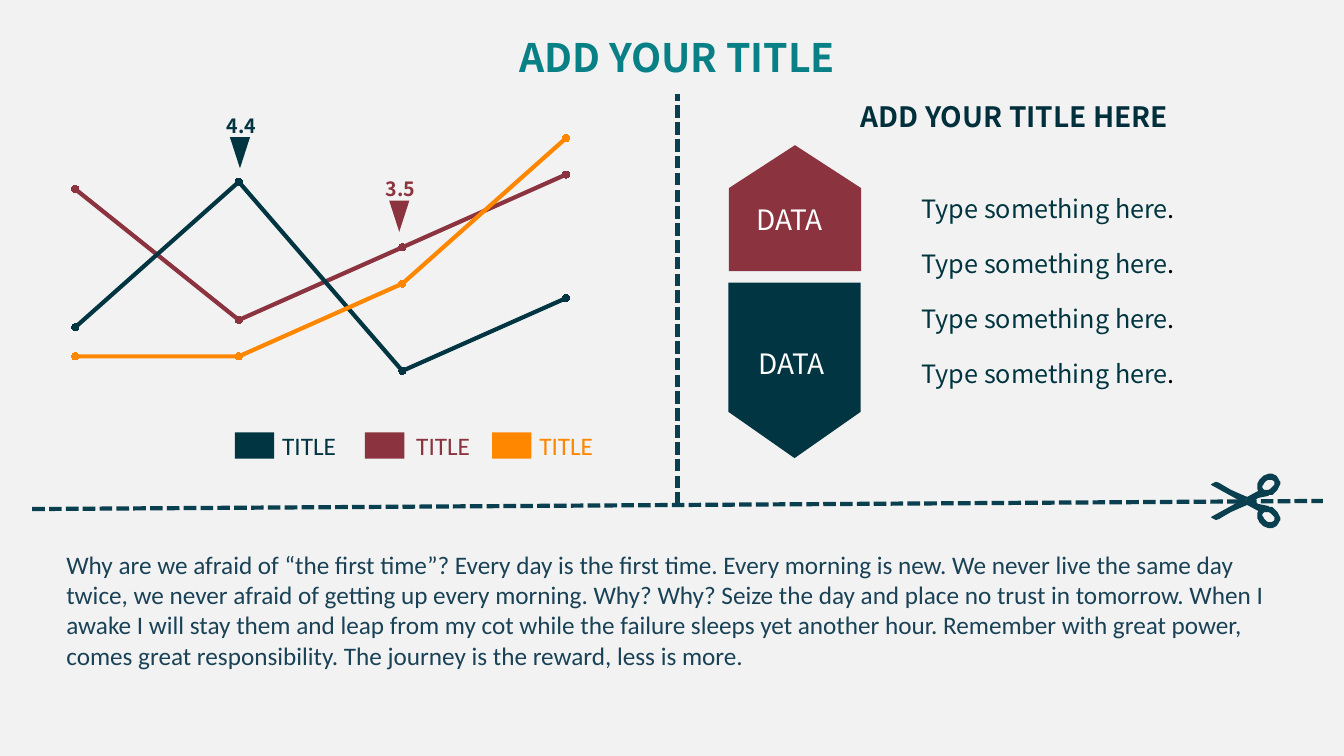
from dataclasses import dataclass

from lxml import etree
from pptx import Presentation
from pptx.chart.data import CategoryChartData
from pptx.dml.color import RGBColor
from pptx.enum.chart import XL_CHART_TYPE as ChartType, XL_MARKER_STYLE as Marker
from pptx.enum.dml import MSO_LINE
from pptx.enum.shapes import MSO_CONNECTOR, MSO_SHAPE as Shape
from pptx.enum.text import MSO_ANCHOR, MSO_AUTO_SIZE, PP_ALIGN
from pptx.oxml.ns import qn
from pptx.util import Inches, Pt


@dataclass(frozen=True)
class Theme:
    paper: str = "F2F2F2"
    teal: str = "088085"
    navy: str = "003541"
    wine: str = "8B343F"
    orange: str = "FF8700"
    cut: str = "093F4F"
    prose: str = "194256"
    heading: str = "01303C"
    item: str = "003540"
    white: str = "FFFFFF"
    black: str = "000000"
    sans: str = "Calibri"
    display: str = "Noto Sans CJK SC"
    title_size: int = 28
    heading_size: int = 20
    body_size: int = 18
    callout_size: int = 14
    chart_size: int = 10
    line: int = 3


THEME = Theme()
SERIES = [
    ("Series 1", (86, 50, 70, 90), THEME.wine),
    ("Series 2", (48, 88, 36, 56), THEME.navy),
    ("Series 3", (40, 40, 60, 100), THEME.orange),
]
PROSE = (
    "Why are we afraid of “the first time”? Every day is the first time. "
    "Every morning is new. We never live the same day twice, we never afraid of "
    "getting up every morning. Why? Why? Seize the day and place no trust in "
    "tomorrow. When I awake I will stay them and leap from my cot while the failure "
    "sleeps yet another hour. Remember with great power, comes great responsibility. "
    "The journey is the reward, less is more."
)
# Upper half of the scissors in hundredths of an inch, around the cut line:
# a start point, then curves (six numbers) and straight lines (two numbers)
BLADE = [
    (42, 0), (44, -2, 49, -4, 57, -5), (59, -6, 61, -6, 62, -7),
    (66, -9, 67, -12, 68, -15), (69, -17, 69, -20, 67, -22),
    (65, -27, 58, -28, 52, -25), (49, -23, 47, -20, 46, -17),
    (46, -15, 46, -12, 47, -10), (36, -4), (28, -7, 11, -16, 8, -18),
    (5, -20, 0, -16, 0, -16), (29, 0),
]
FINGER_HOLE = [
    (63, -19), (64, -18, 63, -17, 63, -16), (62, -15, 61, -13, 59, -12),
    (56, -10, 53, -10, 52, -12), (51, -14, 51, -15, 51, -15),
    (52, -17, 53, -19, 55, -20), (58, -22, 62, -21, 63, -19),
]
PIVOT = [(36, 0), (34.5, -2), (33, 0), (34.5, 2)]


def rgb(color):
    return RGBColor.from_string(color)


def inches(*lengths):
    return [Inches(length) for length in lengths]


def style(font, size, color, name=THEME.display, bold=False):
    font.size, font.name, font.bold = Pt(size), name, bold
    font.color.rgb = rgb(color)


def add_text(slide, box, text, size, color, name=THEME.display, bold=False, wrap=False):
    frame = slide.shapes.add_textbox(*inches(*box)).text_frame
    frame.text = text
    frame.word_wrap = wrap
    style(frame.paragraphs[0].runs[0].font, size, color, name, bold)


def paint(shape, color):
    shape.shadow.inherit = False
    shape.fill.solid()
    shape.fill.fore_color.rgb = rgb(color)
    shape.line.fill.background()


def add_block(slide, kind, box, color, rotation=0):
    block = slide.shapes.add_shape(kind, *inches(*box))
    block.rotation = rotation
    paint(block, color)
    return block


def place(placeholder, box):
    placeholder.left, placeholder.top, placeholder.width, placeholder.height = inches(*box)
    frame = placeholder.text_frame
    frame.vertical_anchor = MSO_ANCHOR.TOP
    frame.auto_size = MSO_AUTO_SIZE.NONE
    return frame


def add_title(slide, box):
    frame = place(slide.shapes.title, box)
    frame.text = "ADD YOUR TITLE"
    frame.word_wrap = False
    frame.paragraphs[0].alignment = PP_ALIGN.LEFT
    style(frame.paragraphs[0].runs[0].font, THEME.title_size, THEME.teal, bold=True)


def add_line_chart(slide, box):
    data = CategoryChartData()
    data.categories = ["1", "2", "3", "4"]
    for name, values, _ in SERIES:
        data.add_series(name, values)
    chart = slide.shapes.add_chart(ChartType.LINE_MARKERS, *inches(*box), data).chart
    style(chart.font, THEME.chart_size, THEME.black, THEME.sans)
    chart.has_legend = chart.has_title = False
    chart.category_axis.visible = chart.value_axis.visible = False
    chart.value_axis.has_major_gridlines = False
    chart.value_axis.minimum_scale, chart.value_axis.maximum_scale = 0, 120
    chart.plots[0].vary_by_categories = False
    for series, (_, _, color) in zip(chart.plots[0].series, SERIES):
        series.smooth = False
        series.format.line.width = Pt(THEME.line)
        series.format.line.color.rgb = rgb(color)
        series.marker.style, series.marker.size = Marker.CIRCLE, 5
        series.marker.format.fill.solid()
        series.marker.format.fill.fore_color.rgb = rgb(color)
        series.marker.format.line.color.rgb = rgb(color)


def add_chart_panel(slide, box):
    left, top, _, _ = box
    add_line_chart(slide, box)
    # Callouts above two points
    for value, dx, dy, color in [("4.4", 2.35, 0.52, THEME.navy),
                                 ("3.5", 3.93, 1.15, THEME.wine)]:
        x, y = left + dx, top + dy
        add_text(slide, (x, y, 0.5, 0.34), value, THEME.callout_size, color, bold=True)
        add_block(slide, Shape.ISOSCELES_TRIANGLE, (x + 0.13, y + 0.28, 0.2, 0.31), color, 180)
    # Legend
    for dx, gap, color in [(2.53, 0.37, THEME.navy), (3.82, 0.41, THEME.wine),
                           (5.08, 0.37, THEME.orange)]:
        x, y = left + dx, top + 3.73
        add_block(slide, Shape.RECTANGLE, (x, y, 0.39, 0.26), color)
        add_text(slide, (x + gap, y - 0.07, 0.89, 0.4), "TITLE", THEME.body_size, color,
                 THEME.sans, wrap=True)


def add_data_panel(slide, box):
    left, top, _, _ = box
    add_text(slide, (left + 1.22, top, 3.43, 0.44), "ADD YOUR TITLE HERE",
             THEME.heading_size, THEME.heading, bold=True)
    # Arrow blocks pointing up and down
    for dx, dy, length, rotation, tip, color, label in [
            (0.04, 0.47, 1.25, 270, 0.34, THEME.wine, (0.18, 1.02)),
            (-0.21, 2.08, 1.74, 90, 0.35, THEME.navy, (0.2, 2.45))]:
        arrow = add_block(slide, Shape.PENTAGON, (left + dx, top + dy, length, 1.31),
                          color, rotation)
        arrow.adjustments[0] = tip
        add_text(slide, (left + label[0], top + label[1], 0.92, 0.44), "DATA",
                 THEME.heading_size, THEME.white)
    # List
    frame = place(slide.placeholders[1], (left + 1.82, top + 0.93, 2.81, 2.4))
    frame.text = "\n".join(["Type something here"] * 4)
    for number, item in enumerate(frame.paragraphs):
        properties = item._p.get_or_add_pPr()
        properties.set("marL", "0")
        properties.set("indent", "0")
        etree.SubElement(properties, qn("a:buNone"))
        item.space_before = Pt(17.6 if number else 0)
        item.add_run().text = "."
        for run, color in zip(item.runs, (THEME.item, THEME.black)):
            style(run.font, THEME.body_size, color)


def trace(steps):
    points = [steps[0]]
    for step in steps[1:]:
        if len(step) == 2:
            points.append(step)
            continue
        knots = [points[-1], step[:2], step[2:4], step[4:]]
        for t in (0.25, 0.5, 0.75, 1):
            weights = ((1 - t) ** 3, 3 * t * (1 - t) ** 2, 3 * t * t * (1 - t), t ** 3)
            points.append(tuple(sum(w * knot[axis] for w, knot in zip(weights, knots))
                                for axis in (0, 1)))
    return points


def mirror(points):
    return [(x, -y) for x, y in reversed(points)]


def add_scissors(slide, left, middle):
    blade, hole = trace(BLADE), trace(FINGER_HOLE)
    contours = [blade + mirror(blade), hole, mirror(hole), PIVOT]
    contours = [[(left * 100 + x, middle * 100 + y) for x, y in contour]
                for contour in contours]
    builder = slide.shapes.build_freeform(*contours[0][0], scale=Inches(0.01))
    builder.add_line_segments(contours[0][1:])
    for contour in contours[1:]:
        builder.move_to(*contour[0])
        builder.add_line_segments(contour[1:])
    paint(builder.convert_to_shape(), THEME.cut)


def add_cut_lines(slide, box):
    left, top, width, height = box
    bottom = top + height
    for ends in [(left, bottom, left + width, bottom - 0.08),
                 (left + width / 2, bottom - 0.04, left + width / 2, top)]:
        cut = slide.shapes.add_connector(MSO_CONNECTOR.STRAIGHT, *inches(*ends))
        cut.line.color.rgb = rgb(THEME.cut)
        cut.line.width = Pt(THEME.line)
        cut.line.dash_style = MSO_LINE.SQUARE_DOT
        etree.SubElement(cut._element.spPr, qn("a:effectLst"))
    add_scissors(slide, left + 11.69, bottom - 0.08)


def main():
    deck = Presentation()
    deck.slide_width, deck.slide_height = inches(13.33, 7.5)
    slide = deck.slides.add_slide(deck.slide_layouts[1])
    slide.background.fill.solid()
    slide.background.fill.fore_color.rgb = rgb(THEME.paper)
    add_chart_panel(slide, (-0.2, 0.56, 6.76, 4.51))
    add_title(slide, (5.05, 0.28, 3.56, 0.57))
    add_cut_lines(slide, (0.32, 0.93, 12.8, 4.12))
    add_data_panel(slide, (7.22, 0.94, 4.65, 3.82))
    add_text(slide, (0.56, 5.4, 12.36, 1.31), PROSE, THEME.body_size, THEME.prose,
             THEME.sans, wrap=True)
    deck.save("out.pptx")


if __name__ == "__main__":
    main()
